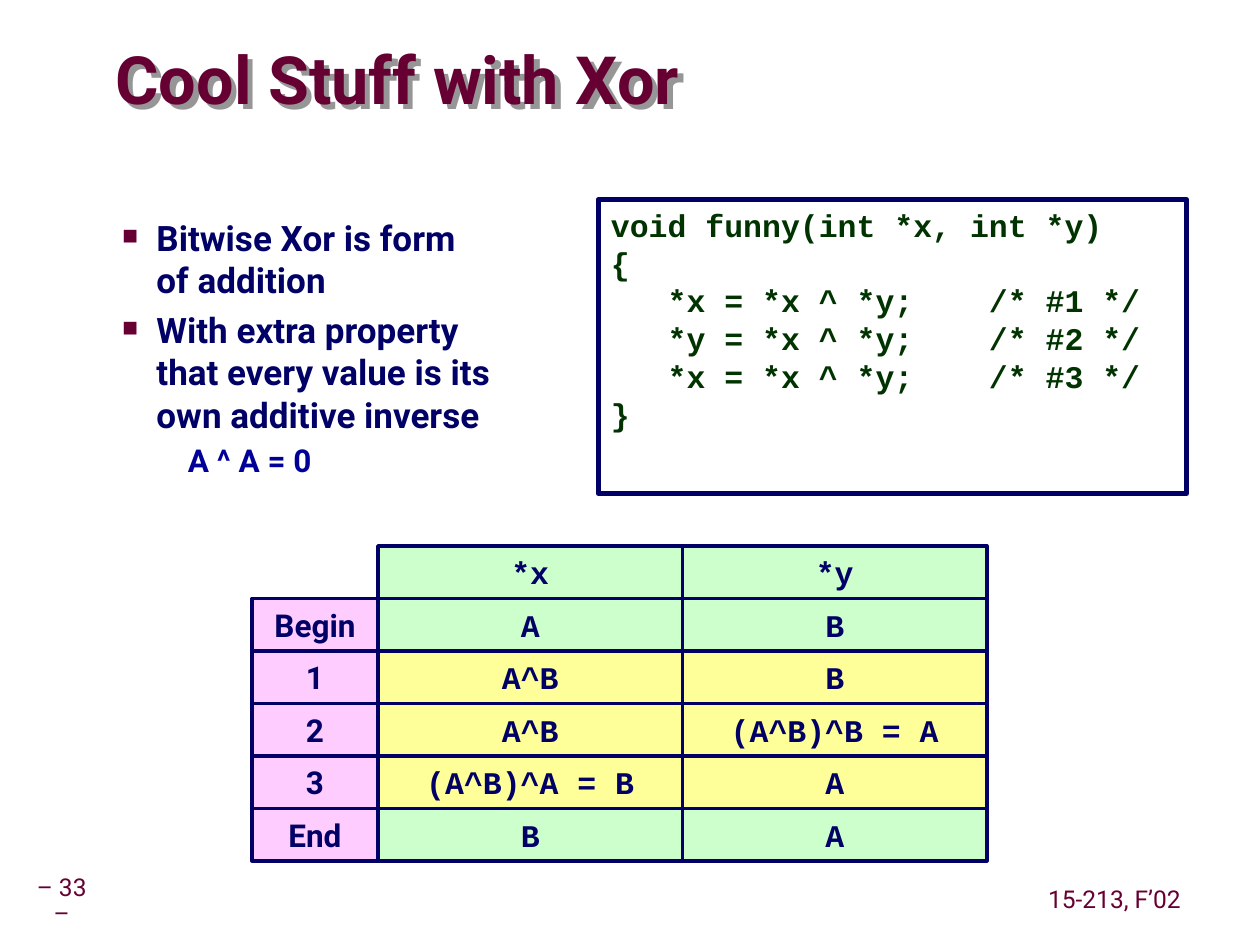
from lxml.etree import SubElement
from pptx import Presentation
from pptx.dml.color import RGBColor
from pptx.enum.shapes import MSO_SHAPE as Shape
from pptx.enum.text import MSO_ANCHOR as Anchor, PP_ALIGN as Align
from pptx.oxml import parse_xml
from pptx.oxml.ns import nsdecls, qn
from pptx.util import Inches, Pt

SANS, MONO = "Roboto", "Courier New"
NAVY, BLUE, MAROON, FOREST, GRAY = "000066", "000099", "660033", "003300", "969696"
GREEN, YELLOW, PINK = "CCFFCC", "FFFF99", "FFCCFF"

CODE = """void funny(int *x, int *y)
{
   *x = *x ^ *y;    /* #1 */
   *y = *x ^ *y;    /* #2 */
   *x = *x ^ *y;    /* #3 */
}"""
POINTS = [
    "Bitwise Xor is form of addition",
    "With extra property that every value is its own additive inverse",
]
EQUATION = "A ^ A = 0"
STATES = [
    ("", "*x", "*y", GREEN),
    ("Begin", "A", "B", GREEN),
    ("1", "A^B", "B", YELLOW),
    ("2", "A^B", "(A^B)^B = A", YELLOW),
    ("3", "(A^B)^A = B", "A", YELLOW),
    ("End", "B", "A", GREEN),
]


def color(value):
    return RGBColor.from_string(value)


def grid(*units):
    return [Inches(unit / 12) for unit in units]


class XorSlide:
    """Draws slide elements on a grid of 120 columns by 90 rows."""

    def __init__(self, deck):
        self.slide = deck.slides.add_slide(deck.slide_layouts[6])

    def style(self, paragraph, size, ink, face=SANS, bold=True, align=Align.LEFT, spacing=None):
        paragraph.alignment = align
        paragraph.line_spacing = spacing
        for run in paragraph.runs:
            font = run.font
            font.size, font.name, font.bold = Pt(size), face, bold
            font.color.rgb = color(ink)

    def frame(self, shape, text, anchor=Anchor.TOP, inset=(0.1, 0.05), wrap=True):
        frame = shape.text_frame
        frame.word_wrap = wrap
        frame.vertical_anchor = anchor
        frame.margin_left = frame.margin_right = Inches(inset[0])
        frame.margin_top = frame.margin_bottom = Inches(inset[1])
        frame.text = text
        return frame.paragraphs

    def textbox(self, place, text, **layout):
        return self.frame(self.slide.shapes.add_textbox(*grid(*place)), text, **layout)

    def rectangle(self, place, weight, fill=None):
        box = self.slide.shapes.add_shape(Shape.RECTANGLE, *grid(*place))
        box.shadow.inherit = False
        if fill:
            box.fill.solid()
            box.fill.fore_color.rgb = color(fill)
        else:
            box.fill.background()
        box.line.color.rgb = color(NAVY)
        box.line.width = Pt(weight)
        return box

    def title(self, place, text):
        box = self.slide.shapes.add_textbox(*grid(*place))
        heading = self.frame(box, text, anchor=Anchor.MIDDLE, inset=(0, 0))[0]
        self.style(heading, 38, MAROON, spacing=0.87)
        box.fill.background()
        box._element.spPr.append(parse_xml(
            f'<a:effectLst {nsdecls("a")}><a:outerShdw dist="53882" dir="2700000">'
            f'<a:srgbClr val="{GRAY}"/></a:outerShdw></a:effectLst>'))

    def footer(self, place, text):
        line = self.textbox(place, text, anchor=Anchor.MIDDLE, inset=(0.05, 0.05))[0]
        self.style(line, 14, MAROON, bold=False, align=Align.CENTER, spacing=0.9)

    def indent(self, paragraph, left, first):
        properties = paragraph._p.get_or_add_pPr()
        properties.set("marL", str(Inches(left)))
        properties.set("indent", str(Inches(first)))
        return properties

    def bullets(self, place, points, equation):
        *items, formula = self.textbox(place, "\n".join([*points, equation]))
        for number, item in enumerate(items):
            properties = self.indent(item, 0.81, -0.27)
            tint = SubElement(properties, qn("a:buClr"))
            SubElement(tint, qn("a:srgbClr"), val=MAROON)
            SubElement(properties, qn("a:buSzPct"), val="75000")
            SubElement(properties, qn("a:buFont"), typeface=MONO)
            SubElement(properties, qn("a:buChar"), char="■")
            self.style(item, 20, NAVY)
            if number:
                item.space_before = Pt(5)
        self.indent(formula, 1.25, -0.19)
        self.style(formula, 18, BLUE, spacing=1.07)
        formula.space_before = Pt(2)

    def code(self, place, text):
        for line in self.frame(self.rectangle(place, 3), text):
            self.style(line, 18, FOREST, MONO)

    def cell(self, place, text, fill, face):
        box = self.rectangle(place, 2, fill)
        label = self.frame(box, text, anchor=Anchor.MIDDLE, wrap=False)[0]
        self.style(label, 18, NAVY, face, align=Align.CENTER)

    def state_grid(self, left, top, widths, height, rows):
        for number, (step, x, y, fill) in enumerate(rows):
            column = left
            looks = ((step, PINK, SANS), (x, fill, MONO), (y, fill, MONO))
            for width, (text, shade, face) in zip(widths, looks):
                if text:
                    place = (column, top + number * height, width, height)
                    self.cell(place, text, shade, face)
                column += width


def main():
    deck = Presentation()
    deck.slide_width, deck.slide_height = grid(120, 90)
    page = XorSlide(deck)
    page.footer((2.75, 84, 6.25, 3.7), "– 33 –")
    page.footer((99, 83.9, 14.3, 3.7), "15-213, F’02")
    page.title((11, 4.2, 77, 7.5), "Cool Stuff with Xor")
    page.code((57, 19, 56, 28), CODE)
    page.bullets((4, 20, 44, 26), POINTS, EQUATION)
    page.state_grid(24, 52, (12, 29, 29), 5, STATES)
    deck.save("out.pptx")


if __name__ == "__main__":
    main()
